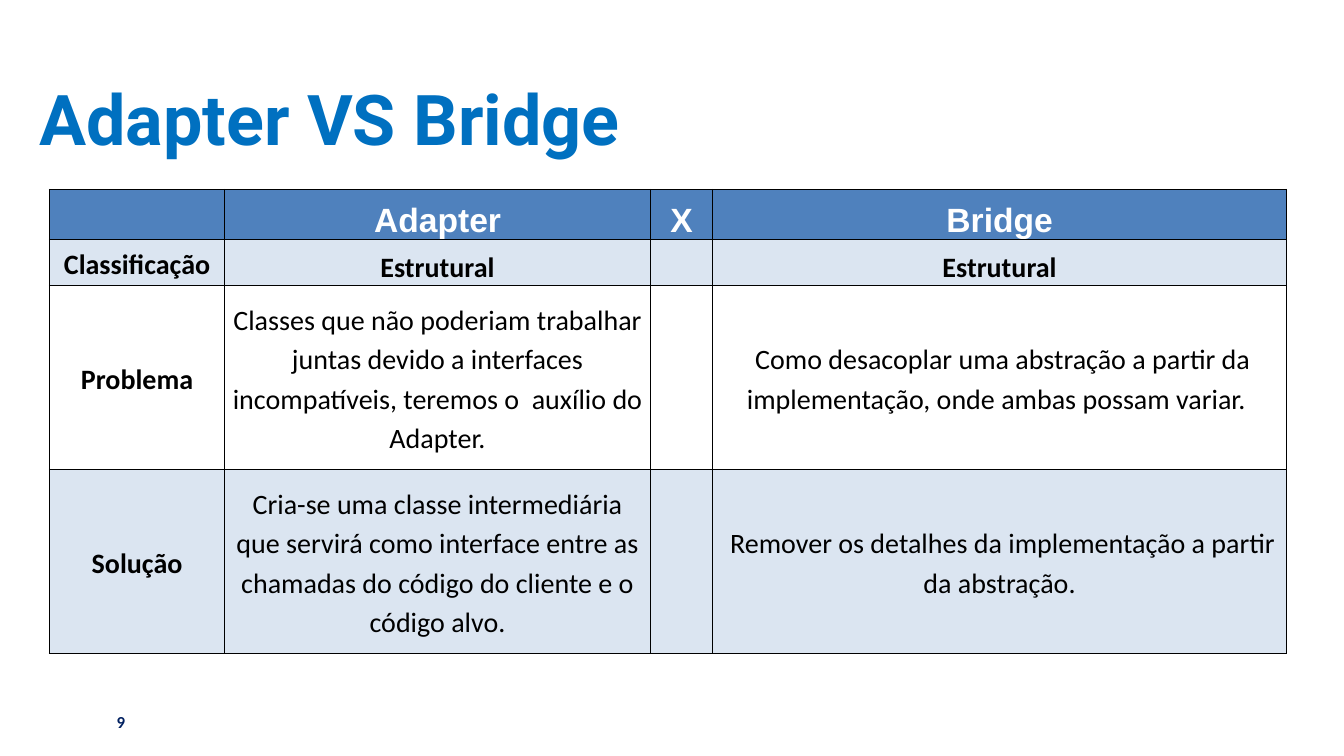
"""Builds a slide that compares the Adapter and Bridge patterns in a table."""
from lxml.etree import SubElement
from pptx import Presentation
from pptx.dml.color import RGBColor as RGB
from pptx.enum.text import MSO_ANCHOR as ANCHOR, PP_ALIGN as ALIGN
from pptx.oxml.ns import qn
from pptx.util import Inches, Pt

BLUE = RGB(0x00, 0x70, 0xC0)
NAVY = RGB(0x00, 0x20, 0x60)
HEAD = RGB(0x4F, 0x81, 0xBD)
BAND = RGB(0xDB, 0xE5, 0xF1)
WHITE = RGB(0xFF, 0xFF, 0xFF)
BLACK = RGB(0x00, 0x00, 0x00)


def write(para, text, name, size, color, bold=True):
    run = para.add_run()
    run.text = text
    run.font.color.rgb = color
    for key, value in {"name": name, "size": Pt(size), "bold": bold}.items():
        setattr(run.font, key, value)


deck = Presentation()
deck.slide_width, deck.slide_height = Inches(13.33), Inches(7.5)
slide = deck.slides.add_slide(deck.slide_layouts[6])

number = slide.shapes.add_textbox(*map(Inches, (1.06, 6.96, 3, 0.4)))

left, top, wide, high = map(Inches, (0.34, 0.7, 11.24, 0.93))
path = slide.shapes.build_freeform(left, top)
path.add_line_segments([(left + wide, top), (left + wide, top + high), (left, top + high)])
title = path.convert_to_shape()
title.shadow.inherit = False
title.fill.background()
title.line.fill.background()

labels = [
    (number, 0.1, ("9", "Calibri", 12, NAVY)),
    (title, 0.05, ("Adapter VS Bridge", "Roboto", 50, BLUE)),
]
for shape, inset, style in labels:
    frame = shape.text_frame
    form = {
        "word_wrap": True, "vertical_anchor": ANCHOR.MIDDLE,
        "margin_left": Inches(inset), "margin_right": Inches(inset),
        "margin_top": Inches(0.05), "margin_bottom": Inches(0.05),
    }
    for key, value in form.items():
        setattr(frame, key, value)
    frame.paragraphs[0].alignment = ALIGN.LEFT
    write(frame.paragraphs[0], *style)

rows = [
    ["", "Adapter", "X", "Bridge"],
    ["Classificação", "Estrutural", "", "Estrutural"],
    ["Problema",
     "Classes que não poderiam trabalhar juntas devido a interfaces incompatíveis, teremos o  auxílio do Adapter.",
     "", " Como desacoplar uma abstração a partir da implementação, onde ambas possam variar. "],
    ["Solução",
     "Cria-se uma classe intermediária que servirá como interface entre as chamadas do código do cliente e o código alvo.",
     "", " Remover os detalhes da implementação a partir da abstração."],
]
widths = [1.74, 4.22, 0.62, 5.69]
heights = [0.5, 0.45, 1.83, 1.82]
fills = [HEAD, BAND, None, BAND]

table = slide.shapes.add_table(
    len(rows), len(widths), Inches(0.49), Inches(1.88),
    Inches(sum(widths)), Inches(sum(heights))).table
for col, width in zip(table.columns, widths):
    col.width = Inches(width)
for row, height in zip(table.rows, heights):
    row.height = Inches(height)

for r, texts in enumerate(rows):
    for c, text in enumerate(texts):
        cell = table.cell(r, c)
        low = r == 0 or (r == 1 and c > 0)
        form = {
            "vertical_anchor": ANCHOR.BOTTOM if low else ANCHOR.MIDDLE,
            "margin_left": Inches(0.05), "margin_right": Inches(0.05),
            "margin_top": 0, "margin_bottom": 0,
        }
        for key, value in form.items():
            setattr(cell, key, value)
        props = cell._tc.get_or_add_tcPr()
        for side in ("lnL", "lnR", "lnT", "lnB"):
            edge = SubElement(props, qn(f"a:{side}"), w=str(Pt(1)))
            SubElement(SubElement(edge, qn("a:solidFill")), qn("a:srgbClr"), val=str(BLACK))
        if fills[r] is None:
            cell.fill.background()
        else:
            cell.fill.solid()
            cell.fill.fore_color.rgb = fills[r]
        if text:
            para = cell.text_frame.paragraphs[0]
            para.alignment = ALIGN.CENTER
            para.line_spacing = 1.15
            look = ("Arial", 24, WHITE) if r == 0 else ("Calibri", 20, BLACK)
            write(para, text, *look, bold=r < 2 or c == 0)

deck.save("out.pptx")
